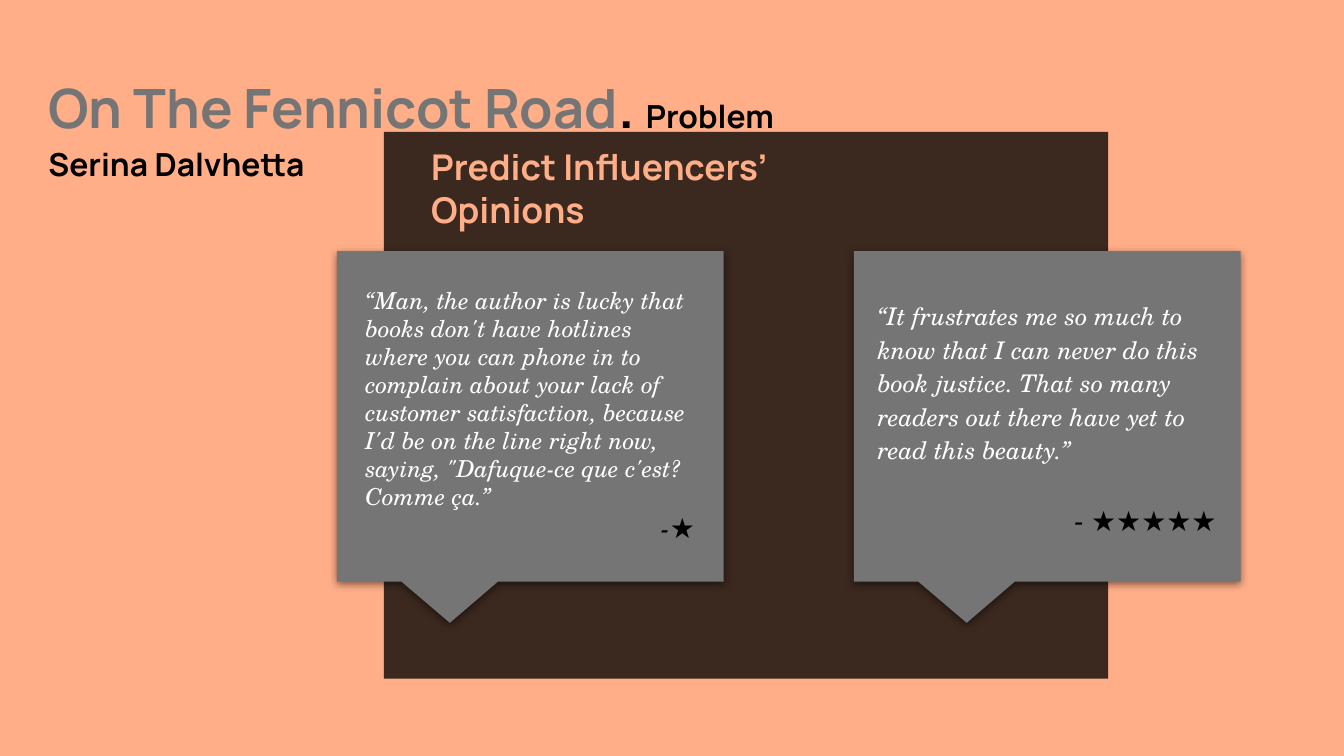
from lxml import etree
from pptx import Presentation
from pptx.dml.color import RGBColor
from pptx.enum import shapes as sh, text as tx
from pptx.oxml import parse_xml
from pptx.oxml.ns import qn
from pptx.util import Pt

NS = 'xmlns:a="http://schemas.openxmlformats.org/drawingml/2006/main"'
SHADE = f'''<a:effectLst {NS}><a:outerShdw blurRad="57150" dist="19050" dir="5400000"
 algn="bl" rotWithShape="0"><a:srgbClr val="000000"><a:alpha val="50000"/></a:srgbClr>
</a:outerShdw></a:effectLst>'''


def paint(item, color):
    item.solid()
    item.fore_color.rgb = RGBColor.from_string(color)


def style(run, size, face, color, bold=False, italic=False):
    font = run.font
    font.size, font.name = Pt(size), face
    font.bold, font.italic = bold, italic
    paint(font.fill, color)


deck = Presentation()
deck.slide_width, deck.slide_height = Pt(720), Pt(405)
slide = deck.slides.add_slide(deck.slide_layouts[5])
paint(slide.background.fill, "FFAE88")

title = slide.shapes.title
title.left, title.top, title.width, title.height = Pt(18.7), Pt(51.1), Pt(532), Pt(54)
frame = title.text_frame
frame.text = "\nSerina Dalvhetta"
head, author = frame.paragraphs
for words, size, color in [("On The Fennicot Road", 29, "757575"),
                           (". ", 29, "000000"), ("Problem", 17, "000000")]:
    run = head.add_run()
    run.text = words
    style(run, size, "Manrope", color, bold=True)
style(author.runs[0], 17, "Manrope", "000000", bold=True)
author.space_after = Pt(16)
for para in frame.paragraphs:
    para.line_spacing = 1.15

panel = slide.shapes.add_shape(sh.MSO_SHAPE.RECTANGLE, Pt(205.7), Pt(70.7), Pt(388), Pt(293))
panel.shadow.inherit = False
paint(panel.fill, "000000")
tint = panel.fill._xPr.find(".//" + qn("a:srgbClr"))
etree.SubElement(tint, qn("a:alpha")).set("val", "77000")
panel.line.fill.background()

topic = slide.shapes.add_textbox(Pt(223.9), Pt(70.7), Pt(270), Pt(60))
topic.text_frame.text = "Predict Influencers’ Opinions"
style(topic.text_frame.paragraphs[0].runs[0], 19, "Manrope", "FFAE88", bold=True)

for left in (180.5, 457.4):
    card = slide.shapes.add_shape(sh.MSO_SHAPE.RECTANGULAR_CALLOUT,
                                  Pt(left), Pt(134.6), Pt(207.2), Pt(177))
    card.adjustments[0], card.adjustments[1] = -0.208, 0.625
    paint(card.fill, "757575")
    card.line.fill.background()
    card._element.spPr.append(parse_xml(SHADE))

boxes = [title, topic]
quotes = [
    ((188.6, 146.2, 190.8, 154), 12.5, 1, 0, "-★", "TeX Gyre Schola", True,
     "“Man, the author is lucky that books don't have hotlines where you can phone in to "
     "complain about your lack of customer satisfaction, because I'd be on the line right "
     "now, saying, \"Dafuque-ce que c'est? Comme ça.”"),
    ((463, 151.9, 195.8, 141), 13, 1.15, 18, "- ★★★★★", "Arial", False,
     "“It frustrates me so much to know that I can never do this book justice. "
     "That so many readers out there have yet to read this beauty.”"),
]
for area, size, pitch, gap, stars, face, slant, words in quotes:
    box = slide.shapes.add_textbox(*map(Pt, area))
    frame = box.text_frame
    frame.text = words + "\n" + stars
    quote, score = frame.paragraphs
    style(quote.runs[0], size, "TeX Gyre Schola", "FFFFFF", italic=True)
    style(score.runs[0], 15, face, "000000", italic=slant)
    score.alignment = tx.PP_ALIGN.RIGHT
    score.space_before = Pt(gap)
    quote.line_spacing = score.line_spacing = pitch
    boxes.append(box)

for box in boxes:
    frame = box.text_frame
    frame.word_wrap = True
    frame.auto_size = tx.MSO_AUTO_SIZE.NONE
    frame.margin_left = frame.margin_right = frame.margin_top = frame.margin_bottom = Pt(7.2)
    frame.vertical_anchor = tx.MSO_ANCHOR.BOTTOM if box in (title, topic) else tx.MSO_ANCHOR.TOP
    for para in frame.paragraphs:
        para.alignment = para.alignment or tx.PP_ALIGN.LEFT

deck.save("out.pptx")
